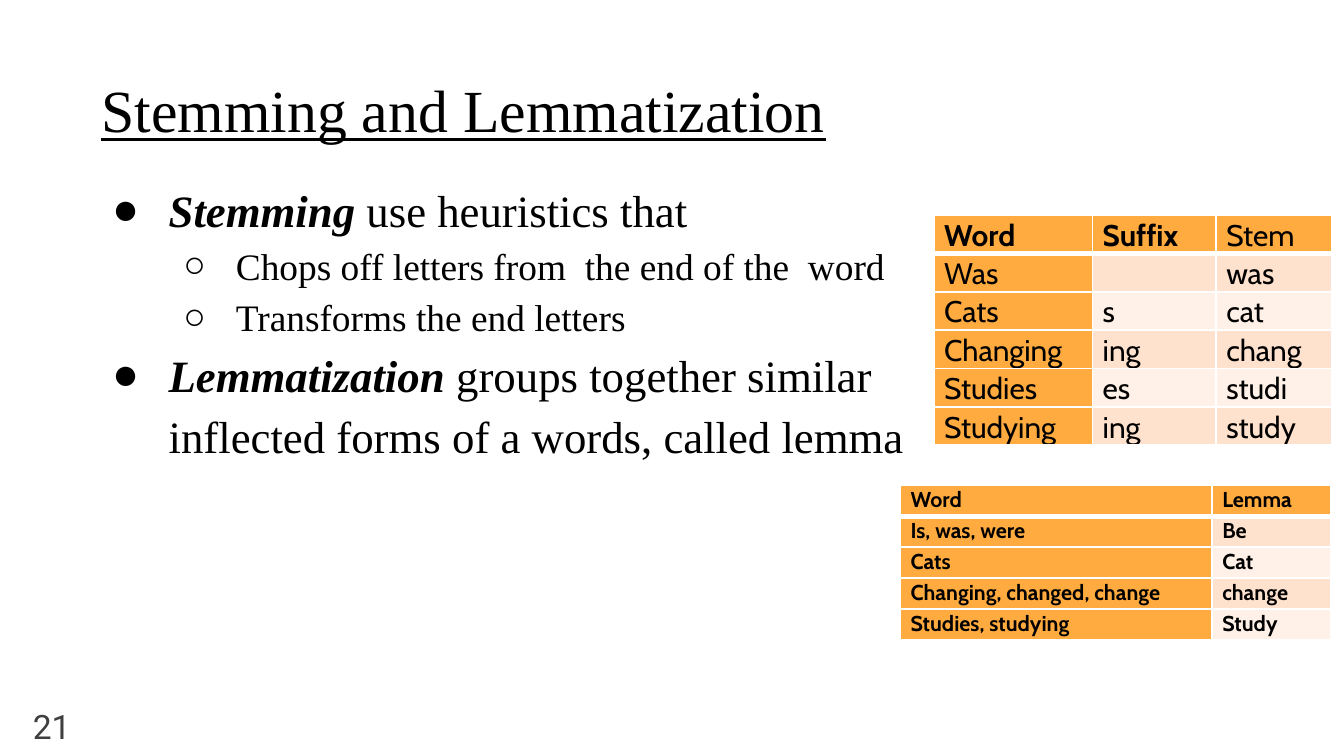
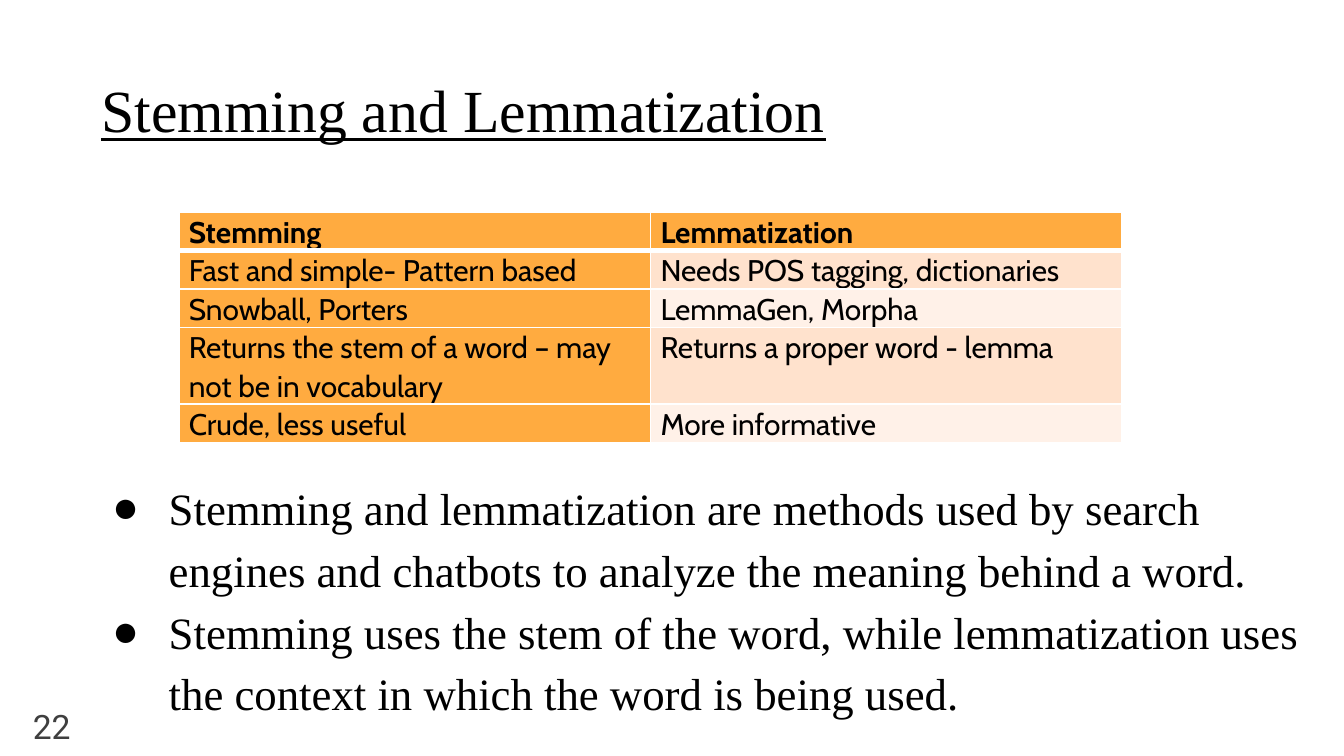
"""Build two slides that compare stemming with lemmatization."""
from lxml import etree
from pptx import Presentation
from pptx.dml.color import RGBColor
from pptx.enum.text import MSO_ANCHOR, PP_ALIGN
from pptx.oxml.ns import qn
from pptx.util import Inches, Pt

MIDDLE, TOP = MSO_ANCHOR.MIDDLE, MSO_ANCHOR.TOP
RIGHT = PP_ALIGN.RIGHT
COLORS = {"text": "000000", "number": "3F3F3F", "border": "FFFFFF",
          "key": "FFAB40", "odd": "FFE2CD", "even": "FFF1E8"}
SERIF, TABLE_FONT, NUMBER_FONT = "Times New Roman", "Cabin", "Roboto"
TITLE = "Stemming and Lemmatization"
BULLETS = [("●", 0.5, -0.42, 24), ("○", 1, -0.39, 20)]
SIDE_INSET, END_INSET = Pt(5.4), Pt(2.7)

SLIDES = [
    {
        "number": "21",
        "body_at": (0.68, 1.26, 6.23, 3.74),
        "points": [
            (0, "Stemming", " use heuristics that"),
            (1, "", "Chops off letters from  the end of the  word"),
            (1, "", "Transforms the end letters"),
            (0, "Lemmatization ", "groups together similar inflected forms of a words, called lemma"),
        ],
        "tables": [
            {"at": (6.7, 3.61), "columns": [2.32, 0.88], "heights": [0.23] * 5,
             "height": 1.15, "size": 11.5, "bold": (5, 2),
             "rows": [("Word", "Lemma"), ("Is, was, were", "Be"), ("Cats", "Cat"),
                      ("Changing, changed, change", "change"), ("Studies, studying", "Study")]},
            {"at": (6.95, 1.6), "columns": [1.18, 0.92, 0.86], "heights": [0.23] * 6,
             "height": 1.71, "size": 16, "bold": (1, 2),
             "rows": [("Word", "Suffix", "Stem"), ("Was", "", "was"), ("Cats", "s", "cat"),
                      ("Changing", "ing", "chang"), ("Studies", "es", "studi"),
                      ("Studying", "ing", "study")]},
        ],
    },
    {
        "number": "22",
        "body_at": (0.68, 3.48, 9.32, 2.06),
        "points": [
            (0, "", "Stemming and lemmatization are methods used by search engines and "
                    "chatbots to analyze the meaning behind a word."),
            (0, "", "Stemming uses the stem of the word, while lemmatization uses the "
                    "context in which the word is being used."),
        ],
        "tables": [
            {"at": (1.33, 1.58), "columns": [3.51, 3.51],
             "heights": [0.24, 0.24, 0.24, 0.49, 0.24],
             "height": 1.71, "size": 16, "bold": (1, 2),
             "rows": [("Stemming", "Lemmatization"),
                      ("Fast and simple- Pattern based", "Needs POS tagging, dictionaries"),
                      ("Snowball, Porters", "LemmaGen, Morpha"),
                      ("Returns the stem of a word – may not be in vocabulary",
                       "Returns a proper word - lemma"),
                      ("Crude, less useful", "More informative")]},
        ],
    },
]


def add_frame(slide, at, anchor):
    frame = slide.shapes.add_textbox(*map(Inches, at)).text_frame
    frame.word_wrap = True
    frame.vertical_anchor = anchor
    frame.margin_left = frame.margin_right = SIDE_INSET
    frame.margin_top = frame.margin_bottom = END_INSET
    return frame


def set_font(paragraph, name, size, color="text"):
    paragraph.font.name = name
    paragraph.font.size = Pt(size)
    paragraph.font.color.rgb = RGBColor.from_string(COLORS[color])


prs = Presentation()
prs.slide_width = Inches(10)
prs.slide_height = prs.slide_width * 9 // 16

for content in SLIDES:
    slide = prs.slides.add_slide(prs.slide_layouts[6])

    title = add_frame(slide, (0.68, 0.53, 9.32, 0.63), MIDDLE).paragraphs[0]
    title.text = TITLE
    title.line_spacing = 0.9
    set_font(title, SERIF, 32)
    title.font.underline = True

    body = add_frame(slide, content["body_at"], TOP)
    for index, (level, term, explanation) in enumerate(content["points"]):
        point = body.add_paragraph() if index else body.paragraphs[0]
        symbol, margin, indent, size = BULLETS[level]
        point.level = level
        point.line_spacing = 1.15
        properties = point._p.get_or_add_pPr()
        properties.set("marL", str(Inches(margin)))
        properties.set("indent", str(Inches(indent)))
        bullet_color = etree.SubElement(properties, qn("a:buClr"))
        etree.SubElement(bullet_color, qn("a:srgbClr"), val=COLORS["text"])
        etree.SubElement(properties, qn("a:buSzPts"), val=str(size * 100))
        etree.SubElement(properties, qn("a:buFont"), typeface=SERIF)
        etree.SubElement(properties, qn("a:buChar"), char=symbol)
        set_font(point, SERIF, size)
        if term:
            term_run = point.add_run()
            term_run.text = term
            term_run.font.bold = term_run.font.italic = True
        point.add_run().text = explanation

    number = add_frame(slide, (0, 5.19, 0.6, 0.43), MIDDLE).paragraphs[0]
    number.text = content["number"]
    number.alignment = RIGHT
    set_font(number, NUMBER_FONT, 18, "number")

    for grid in content["tables"]:
        rows, columns = grid["rows"], grid["columns"]
        left, top = grid["at"]
        bold_rows, bold_columns = grid["bold"]
        holder = slide.shapes.add_table(
            len(rows), len(columns), Inches(left), Inches(top),
            Inches(sum(columns)), Inches(grid["height"]))
        table = holder.table
        table.horz_banding = False
        for column, width in zip(table.columns, columns):
            column.width = Inches(width)
        for r, (words, height) in enumerate(zip(rows, grid["heights"])):
            table.rows[r].height = Inches(height)
            for c, word in enumerate(words):
                cell = table.cell(r, c)
                cell.margin_left = cell.margin_right = SIDE_INSET
                cell.margin_top = cell.margin_bottom = 0
                thick_side = {0: "lnB", 1: "lnT"}.get(r)
                for side in ("lnL", "lnR", "lnT", "lnB"):
                    border = etree.SubElement(cell._tc.get_or_add_tcPr(), qn("a:" + side),
                                              w=str(Pt(3 if side == thick_side else 1)))
                    border_fill = etree.SubElement(border, qn("a:solidFill"))
                    etree.SubElement(border_fill, qn("a:srgbClr"), val=COLORS["border"])
                cell.fill.solid()
                shade = "key" if r == 0 or c == 0 else "odd" if r % 2 else "even"
                cell.fill.fore_color.rgb = RGBColor.from_string(COLORS[shade])
                entry = cell.text_frame.paragraphs[0]
                entry.text = word
                entry.line_spacing = 1.07
                set_font(entry, TABLE_FONT, grid["size"])
                entry.font.bold = r < bold_rows and c < bold_columns
        holder.height = Inches(grid["height"])

prs.save("out.pptx")
